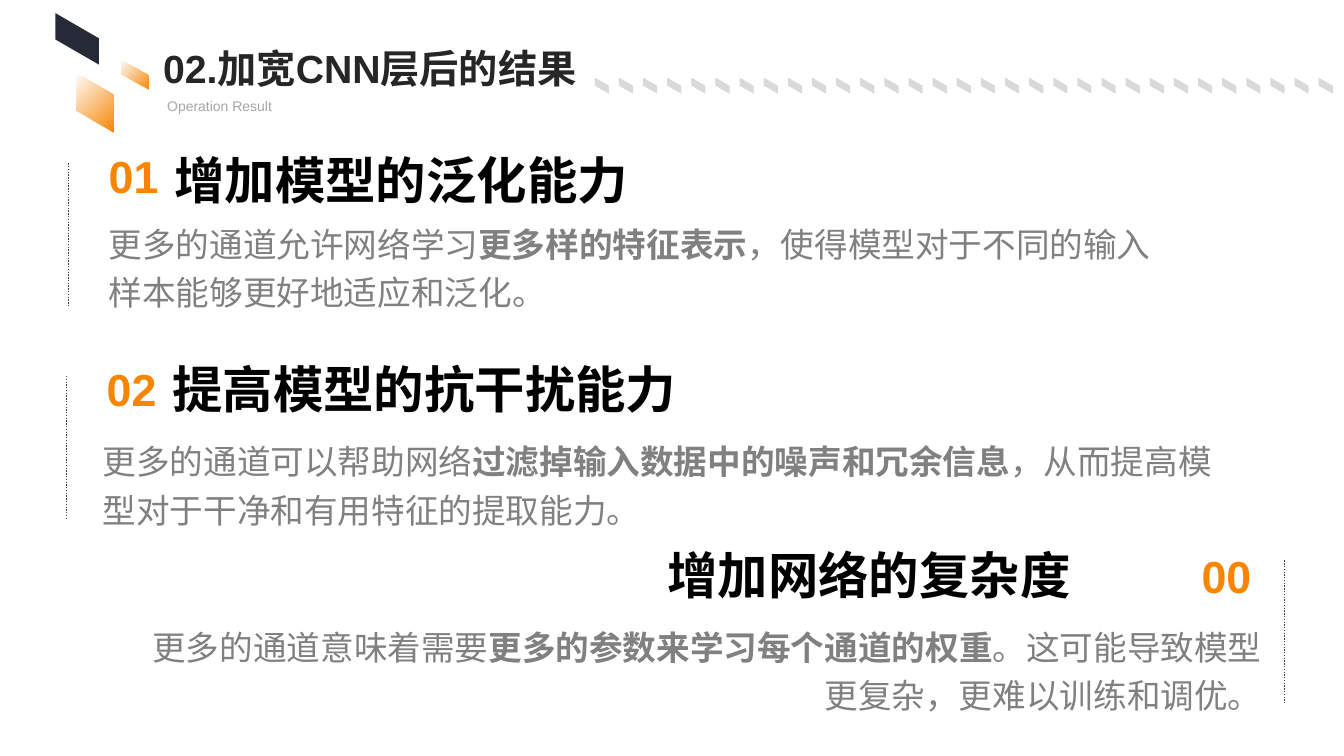
from lxml import etree
from pptx import Presentation
from pptx.dml.color import RGBColor
from pptx.enum.dml import MSO_LINE
from pptx.enum.lang import MSO_LANGUAGE_ID
from pptx.enum.shapes import MSO_CONNECTOR, MSO_SHAPE
from pptx.enum.text import PP_ALIGN
from pptx.oxml.ns import qn
from pptx.util import Inches, Pt

PARALLELOGRAM = MSO_SHAPE.PARALLELOGRAM
STRAIGHT = MSO_CONNECTOR.STRAIGHT
DOTTED = MSO_LINE.ROUND_DOT
LEFT, RIGHT, JUSTIFY = PP_ALIGN.LEFT, PP_ALIGN.RIGHT, PP_ALIGN.JUSTIFY
CHINESE = MSO_LANGUAGE_ID.SIMPLIFIED_CHINESE

NAVY = RGBColor(0x25, 0x2A, 0x36)
ORANGE = RGBColor(0xF7, 0x85, 0x00)
BLACK = RGBColor(0x00, 0x00, 0x00)
TITLE_INK = RGBColor(0x26, 0x26, 0x26)
BODY_GRAY = RGBColor(0x80, 0x80, 0x80)
SUBTITLE_GRAY = RGBColor(0xA6, 0xA6, 0xA6)
TILE_GRAY = RGBColor(0xD9, 0xD9, 0xD9)
RULE_INK = RGBColor(0x36, 0x3E, 0x47)

FONT = "Arial"
SLANT = 0.578  # drop of a tile's edge as a share of its width

# box: left, top, width, height; places inside it are offsets from left and top
POINTS = [
    dict(box=(0.68, 1.62, 10.86, 1.41), rule=0, align=LEFT,
         number="01", number_at=(0.3, -0.19, 4.32),
         heading="增加模型的泛化能力", heading_at=(0.95, -0.19, 6.13),
         body=("更多的通道允许网络学习", "更多样的特征表示",
               "，使得模型对于不同的输入样本能够更好地适应和泛化。"),
         body_at=(0.3, 0.47, 10.56)),
    dict(box=(0.66, 3.73, 11.49, 1.41), rule=0, align=LEFT,
         number="02", number_at=(0.3, -0.19, 1.59),
         heading="提高模型的抗干扰能力", heading_at=(0.95, -0.23, 5.79),
         body=("更多的通道可以帮助网络", "过滤掉输入数据中的噪声和冗余信息",
               "，从而提高模型对于干净和有用特征的提取能力。"),
         body_at=(0.26, 0.52, 11.23)),
    dict(box=(1.38, 5.56, 11.36, 1.41), rule=11.36, align=RIGHT,
         number="00", number_at=(9.54, -0.17, 1.59),
         heading="增加网络的复杂度", heading_at=(5.14, -0.21, 5.27),
         body=("更多的通道意味着需要", "更多的参数来学习每个通道的权重",
               "。这可能导致模型更复杂，更难以训练和调优。"),
         body_at=(0, 0.53, 11.23)),
]


def add_text(slide, box, runs, size, color, align=LEFT, spacing=None):
    """Write one paragraph; runs are (text, bold) pairs."""
    frame = slide.shapes.add_textbox(*map(Inches, box)).text_frame
    frame.word_wrap = True
    paragraph = frame.paragraphs[0]
    paragraph.alignment = align
    if spacing:
        paragraph.line_spacing = spacing
    for text, bold in runs:
        run = paragraph.add_run()
        run.text = text
        font = run.font
        font.name, font.size, font.bold = FONT, Pt(size), bold
        font.color.rgb = color
        font.language_id = CHINESE


def add_solid_tile(slide, box, color):
    """Slanted tile that fills the upright box once turned."""
    left, top, width, height = box
    shift = (height - width) / 2
    tile = slide.shapes.add_shape(
        PARALLELOGRAM, Inches(left - shift), Inches(top + shift),
        Inches(height), Inches(width))
    tile.rotation = 270
    tile.adjustments[0] = SLANT
    tile.fill.solid()
    tile.fill.fore_color.rgb = color
    tile.line.fill.background()
    tile.shadow.inherit = False


def add_fading_tile(slide, box):
    """Slanted tile that goes from clear at top left to orange."""
    left, top, width, height = box
    right, bottom, drop = left + width, top + height, width * SLANT
    corners = [(left, top), (right, top + drop), (right, bottom),
               (left, bottom - drop)]
    points = [(Inches(x), Inches(y)) for x, y in corners]
    builder = slide.shapes.build_freeform(*points[0])
    builder.add_line_segments(points[1:], close=True)
    tile = builder.convert_to_shape()
    tile.fill.gradient()
    tile.fill.gradient_angle = 315
    for stop, position in zip(tile.fill.gradient_stops, (0, 1)):
        stop.color.rgb = ORANGE
        stop.position = position
    clear_color = next(tile.fill._xPr.iter(qn("a:srgbClr")))
    etree.SubElement(clear_color, qn("a:alpha")).set("val", "0")
    tile.line.fill.background()
    tile.shadow.inherit = False


def add_dotted_rule(slide, x, top, height):
    rule = slide.shapes.add_connector(
        STRAIGHT, Inches(x), Inches(top), Inches(x), Inches(top + height))
    rule.line.color.rgb = RULE_INK
    rule.line.width = Pt(1)
    rule.line.dash_style = DOTTED
    etree.SubElement(rule._element.spPr, qn("a:effectLst"))


def add_header(slide, left, top):
    add_solid_tile(slide, (left, top, 0.43, 0.51), NAVY)
    add_fading_tile(slide, (left + 0.21, top + 0.59, 0.37, 0.59))
    add_fading_tile(slide, (left + 0.66, top + 0.46, 0.26, 0.3))
    add_text(slide, (left + 0.97, top + 0.26, 5.1, 0.57),
             [("02.加宽CNN层后的结果", True)], 28, TITLE_INK)
    add_text(slide, (left + 1.01, top + 0.75, 4.92, 0.17),
             [("Operation Result", False)], 10, SUBTITLE_GRAY, spacing=1.25)


def add_tile_band(slide, left, top, count=31, pitch=0.2393):
    for index in range(count):
        add_solid_tile(slide, (left + index * pitch, top, 0.14, 0.16),
                       TILE_GRAY)


def add_point(slide, point):
    left, top, _, height = point["box"]

    def place(offset, box_height):
        dx, dy, width = offset
        return left + dx, top + dy, width, box_height

    add_text(slide, place(point["heading_at"], 0.71),
             [(point["heading"], True)], 36, BLACK, JUSTIFY)
    add_text(slide, place(point["body_at"], 1.03),
             zip(point["body"], (False, True, False)), 24, BODY_GRAY,
             point["align"], 1.2)
    add_text(slide, place(point["number_at"], 0.64),
             [(point["number"], True)], 32, ORANGE, point["align"])
    add_dotted_rule(slide, left + point["rule"], top, height)


def main():
    deck = Presentation()
    deck.slide_width, deck.slide_height = Inches(13.33), Inches(7.5)
    slide = deck.slides.add_slide(deck.slide_layouts[6])
    add_header(slide, 0.55, 0.13)
    add_tile_band(slide, 5.9, 0.77)
    for point in POINTS:
        add_point(slide, point)
    deck.save("out.pptx")


if __name__ == "__main__":
    main()
